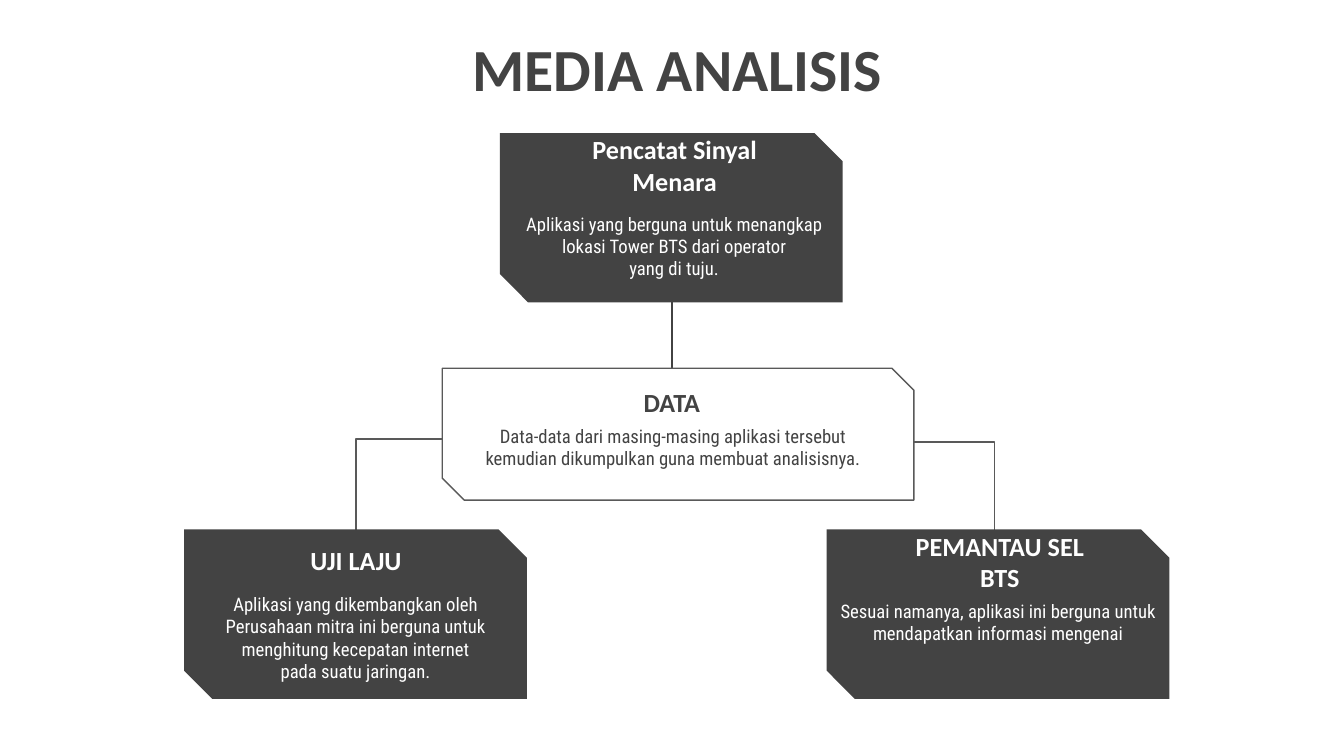
from dataclasses import dataclass
from typing import Optional

from lxml import etree
from pptx import Presentation
from pptx.dml.color import RGBColor
from pptx.enum import shapes, text
from pptx.oxml import ns
from pptx.util import Pt


@dataclass(frozen=True)
class Theme:
    dark: str = "434343"
    light: str = "FFFFFF"
    outline: str = "595959"
    stem: str = "424242"
    head_font: str = "Calibri"
    body_font: str = "Roboto Condensed"
    title_size: float = 32
    head_size: float = 14
    body_size: float = 10
    line_width: float = 0.75


@dataclass(frozen=True)
class Box:
    left: float
    top: float
    width: float
    height: float


@dataclass(frozen=True)
class Card:
    frame: Box
    head_box: Box
    body_box: Box
    head: str
    body: tuple[str, ...]
    filled: bool = True


@dataclass(frozen=True)
class Link:
    start: tuple[float, float]
    end: tuple[float, float]
    color: str
    preset: Optional[str] = None  # straight when not given


T = Theme()
CARD_W, CARD_H = 183.6, 90.7
HEAD_W, HEAD_H = 112.3, 31
BODY_H = 49


def app_card(x: float, y: float, head_at: tuple[float, float],
             body_at: tuple[float, float], head: str, *body: str) -> Card:
    return Card(Box(x, y, CARD_W, CARD_H), Box(*head_at, HEAD_W, HEAD_H),
                Box(*body_at, CARD_W, BODY_H), head, body)


CARDS = [
    app_card(442.8, 283.7, (479.5, 293.8), (442.8, 313.9), "PEMANTAU SEL BTS",
             "Sesuai namanya, aplikasi ini berguna untuk mendapatkan informasi mengenai"),
    app_card(98.6, 283.7, (134.6, 284.4), (98.6, 310.3), "UJI LAJU",
             "Aplikasi yang dikembangkan oleh Perusahaan mitra ini berguna untuk "
             "menghitung kecepatan internet",
             "pada suatu jaringan."),
    Card(Box(236.9, 197.3, 252.7, 70.6), Box(303.8, 200.2, HEAD_W, HEAD_H),
         Box(251.3, 220.3, 218.2, 64.8), "DATA",
         ("Data-data dari masing-masing aplikasi tersebut kemudian dikumpulkan "
          "guna membuat analisisnya.",), filled=False),
    app_card(267.8, 71.3, (305.3, 81.4), (269.3, 106.6), "Pencatat Sinyal Menara",
             "Aplikasi yang berguna untuk menangkap lokasi Tower BTS dari operator",
             "yang di tuju."),
]

LINKS = [
    Link((489.6, 236.9), (576, 302.4), T.outline, "bentConnector3"),
    Link((236.9, 235.1), (190.8, 283.7), T.outline, "bentConnector2"),
    Link((360, 161.3), (360, 197.3), T.stem),
]


def add_text(slide, box: Box, *lines: str, font: str, size: float, color: str,
             bold: bool = False, anchor=text.MSO_ANCHOR.TOP) -> None:
    sp = slide.shapes.add_textbox(Pt(box.left), Pt(box.top), Pt(box.width), Pt(box.height))
    tf = sp.text_frame
    tf.word_wrap = True
    tf.vertical_anchor = anchor
    tf.margin_left = tf.margin_right = tf.margin_top = tf.margin_bottom = Pt(7.2)
    for i, line in enumerate(lines):
        p = tf.add_paragraph() if i else tf.paragraphs[0]
        p.alignment = text.PP_ALIGN.CENTER
        r = p.add_run()
        r.text = line
        r.font.name = font
        r.font.size = Pt(size)
        r.font.bold = bold
        r.font.color.rgb = RGBColor.from_string(color)


def add_card(slide, card: Card) -> None:
    b = card.frame
    sp = slide.shapes.add_shape(shapes.MSO_SHAPE.SNIP_2_DIAG_RECTANGLE,
                                Pt(b.left), Pt(b.top), Pt(b.width), Pt(b.height))
    sp.shadow.inherit = False
    if card.filled:
        sp.fill.solid()
        sp.fill.fore_color.rgb = RGBColor.from_string(T.dark)
        sp.line.fill.background()
    else:
        sp.fill.background()
        sp.line.color.rgb = RGBColor.from_string(T.outline)
        sp.line.width = Pt(T.line_width)
    color = T.light if card.filled else T.dark
    add_text(slide, card.head_box, card.head, font=T.head_font, size=T.head_size,
             color=color, bold=True, anchor=text.MSO_ANCHOR.BOTTOM)
    add_text(slide, card.body_box, *card.body, font=T.body_font, size=T.body_size,
             color=color)


def add_link(slide, link: Link) -> None:
    kind = shapes.MSO_CONNECTOR.ELBOW if link.preset else shapes.MSO_CONNECTOR.STRAIGHT
    sp = slide.shapes.add_connector(kind, *(Pt(v) for v in link.start + link.end))
    sp.line.color.rgb = RGBColor.from_string(link.color)
    sp.line.width = Pt(T.line_width)
    props = sp._element.spPr
    if link.preset:
        props.find(ns.qn("a:prstGeom")).set("prst", link.preset)
    etree.SubElement(props, ns.qn("a:effectLst"))


def main() -> None:
    prs = Presentation()
    prs.slide_width, prs.slide_height = Pt(720), Pt(405)
    slide = prs.slides.add_slide(prs.slide_layouts[6])

    # Connectors lie behind the cards
    for link in LINKS:
        add_link(slide, link)

    # Cards with heading and description
    for card in CARDS:
        add_card(slide, card)

    # Title
    add_text(slide, Box(157.7, 10.1, 410.4, 74.2), "MEDIA ANALISIS", font=T.head_font,
             size=T.title_size, color=T.dark, bold=True)

    prs.save("out.pptx")


if __name__ == "__main__":
    main()
